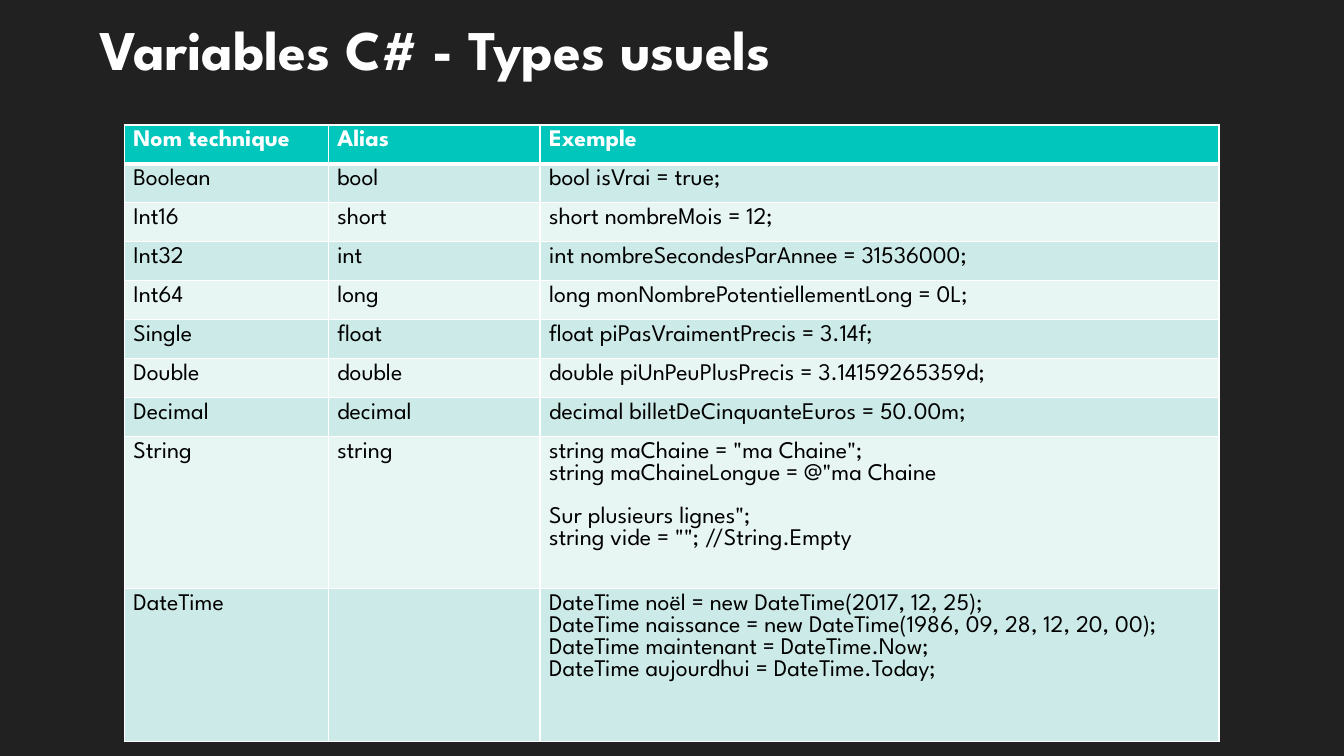
from dataclasses import dataclass
from typing import Any

from lxml import etree
from pptx import Presentation
from pptx.dml.color import RGBColor
from pptx.enum.text import MSO_ANCHOR
from pptx.oxml.ns import qn
from pptx.util import Cm, Pt

BOTTOM = MSO_ANCHOR.BOTTOM
FONT = "League Spartan"
BACKGROUND, TITLE_INK, WHITE, BLACK = "212121", "FEFEFE", "FFFFFF", "000000"
HEADER_FILL, BAND_FILLS = "00C6BB", ("CCEAE7", "E7F5F3")
THIN, THICK = Pt(1), Pt(3)
COLUMN_WIDTHS = (5.14, 5.34, 17.11)
LOW_ROW, HIGH_ROW = 0.96, 3.84
TITLE_FORMAT = {"name": FONT, "size": Pt(40), "bold": True}
HEADER_FORMAT = {"name": FONT, "size": Pt(17), "bold": True}
BODY_FORMAT = {**HEADER_FORMAT, "bold": False}
CELL_FORMAT = {"margin_left": Cm(0.23), "margin_right": Cm(0.23),
               "margin_top": Cm(0.13), "margin_bottom": Cm(0.13)}


@dataclass
class Line:
    text: str
    gap_before: float = 0


@dataclass
class TypeRow:
    technical_name: str
    alias: str
    examples: list[Line]
    height: float = LOW_ROW


HEADER = TypeRow("Nom technique", "Alias", [Line("Exemple")])
TYPES = [
    TypeRow("Boolean", "bool", [Line("bool isVrai = true;")]),
    TypeRow("Int16", "short", [Line("short nombreMois = 12;")]),
    TypeRow("Int32", "int", [Line("int nombreSecondesParAnnee = 31536000;")]),
    TypeRow("Int64", "long", [Line("long monNombrePotentiellementLong = 0L;")]),
    TypeRow("Single", "float", [Line("float piPasVraimentPrecis = 3.14f;")]),
    TypeRow("Double", "double", [Line("double piUnPeuPlusPrecis = 3.14159265359d;")]),
    TypeRow("Decimal", "decimal", [Line("decimal billetDeCinquanteEuros = 50.00m;")]),
    TypeRow("String", "string", [
        Line('string maChaine = "ma Chaine";'),
        Line('string maChaineLongue = @"ma Chaine'),
        Line('Sur plusieurs lignes";', gap_before=15.6),
        Line('string vide = ""; //String.Empty'),
    ], HIGH_ROW),
    TypeRow("DateTime", "", [
        Line("DateTime noël = new DateTime(2017, 12, 25);"),
        Line("DateTime naissance = new DateTime(1986, 09, 28, 12, 20, 00);"),
        Line("DateTime maintenant = DateTime.Now;"),
        Line("DateTime aujourdhui = DateTime.Today;"),
    ], HIGH_ROW),
]


def rgb(value: str) -> RGBColor:
    return RGBColor.from_string(value)


def apply_format(target: Any, values: dict[str, Any]) -> None:
    for attribute, value in values.items():
        setattr(target, attribute, value)


def paint(fill: Any, color: str) -> None:
    fill.solid()
    fill.fore_color.rgb = rgb(color)


def write_lines(frame: Any, lines: list[Line], font_format: dict[str, Any], ink: str) -> None:
    for index, line in enumerate(lines):
        paragraph = frame.add_paragraph() if index else frame.paragraphs[0]
        paragraph.space_before = Pt(line.gap_before)
        if line.text:
            run = paragraph.add_run()
            run.text = line.text
            apply_format(run.font, font_format)
            run.font.color.rgb = rgb(ink)


def add_text_shadow(run: Any) -> None:
    properties = run.font.fill._xPr
    effects = etree.Element(qn("a:effectLst"))
    shadow = etree.SubElement(effects, qn("a:outerShdw"),
                              blurRad="50800", dist="38100", dir="2700000")
    color = etree.SubElement(shadow, qn("a:srgbClr"), val=BLACK)
    etree.SubElement(color, qn("a:alpha"), val="60000")
    properties.find(qn("a:solidFill")).addnext(effects)


def set_borders(cell: Any, top: int, bottom: int) -> None:
    properties = cell._tc.get_or_add_tcPr()
    widths = {"lnL": THIN, "lnR": THIN, "lnT": top, "lnB": bottom}
    for position, (side, width) in enumerate(widths.items()):
        border = etree.Element(qn(f"a:{side}"), w=str(int(width)))
        fill = etree.SubElement(border, qn("a:solidFill"))
        etree.SubElement(fill, qn("a:srgbClr"), val=WHITE)
        properties.insert(position, border)


presentation = Presentation()
presentation.slide_width, presentation.slide_height = Cm(33.87), Cm(19.05)
slide = presentation.slides.add_slide(presentation.slide_layouts[6])
paint(slide.background.fill, BACKGROUND)

# Title
title = slide.shapes.add_textbox(Cm(2.26), Cm(-0.51), Cm(29.36), Cm(2.69)).text_frame
apply_format(title, {"word_wrap": True, "vertical_anchor": BOTTOM})
write_lines(title, [Line("Variables C# - Types usuels")], TITLE_FORMAT, TITLE_INK)
add_text_shadow(title.paragraphs[0].runs[0])

# Table of types
rows = [HEADER, *TYPES]
types_table = slide.shapes.add_table(
    len(rows), len(COLUMN_WIDTHS), Cm(3.13), Cm(3.15),
    Cm(sum(COLUMN_WIDTHS)), Cm(sum(row.height for row in rows))).table
for column, width in zip(types_table.columns, COLUMN_WIDTHS):
    column.width = Cm(width)

for index, row in enumerate(rows):
    types_table.rows[index].height = Cm(row.height)
    is_header = index == 0
    row_fill = HEADER_FILL if is_header else BAND_FILLS[(index - 1) % 2]
    font_format, ink = (HEADER_FORMAT, WHITE) if is_header else (BODY_FORMAT, BLACK)
    contents = ([Line(row.technical_name)], [Line(row.alias)], row.examples)
    for cell, lines in zip(types_table.rows[index].cells, contents):
        apply_format(cell, CELL_FORMAT)
        paint(cell.fill, row_fill)
        set_borders(cell, top=THICK if index == 1 else THIN,
                    bottom=THICK if is_header else THIN)
        write_lines(cell.text_frame, lines, font_format, ink)

presentation.save("out.pptx")
